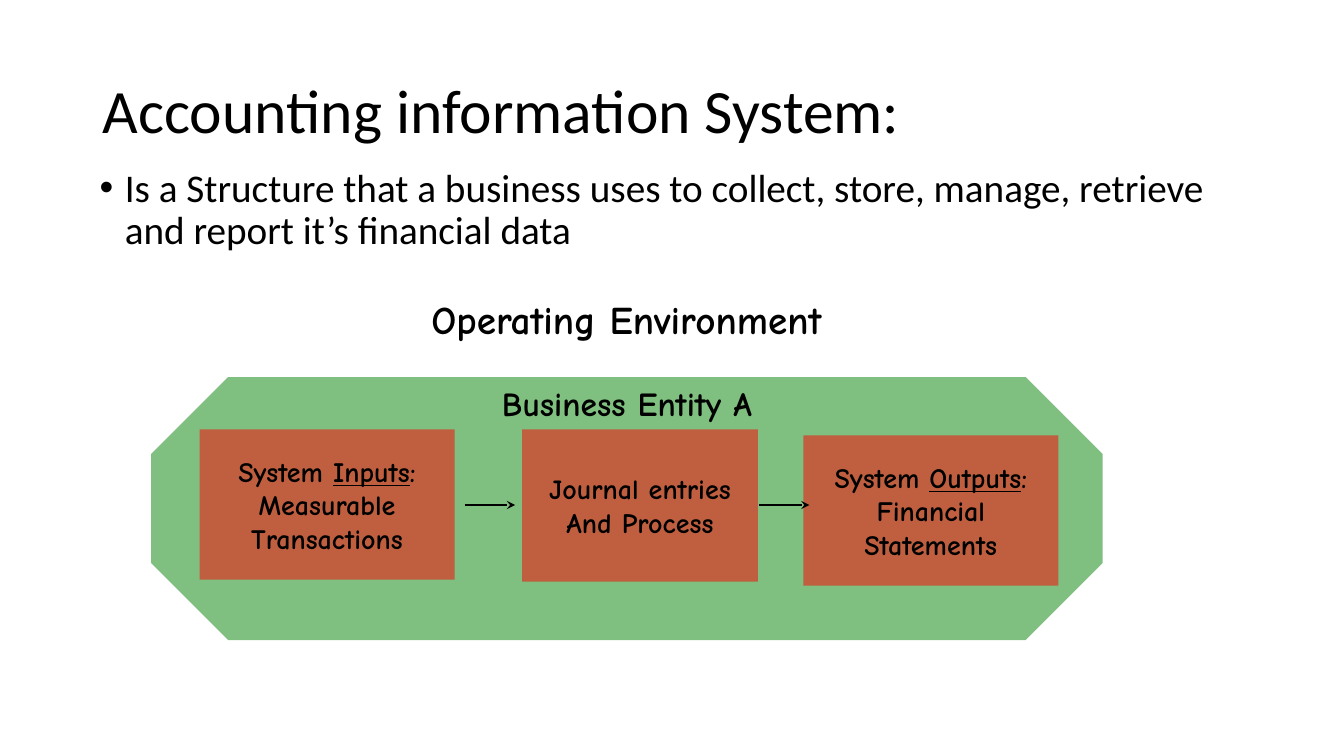
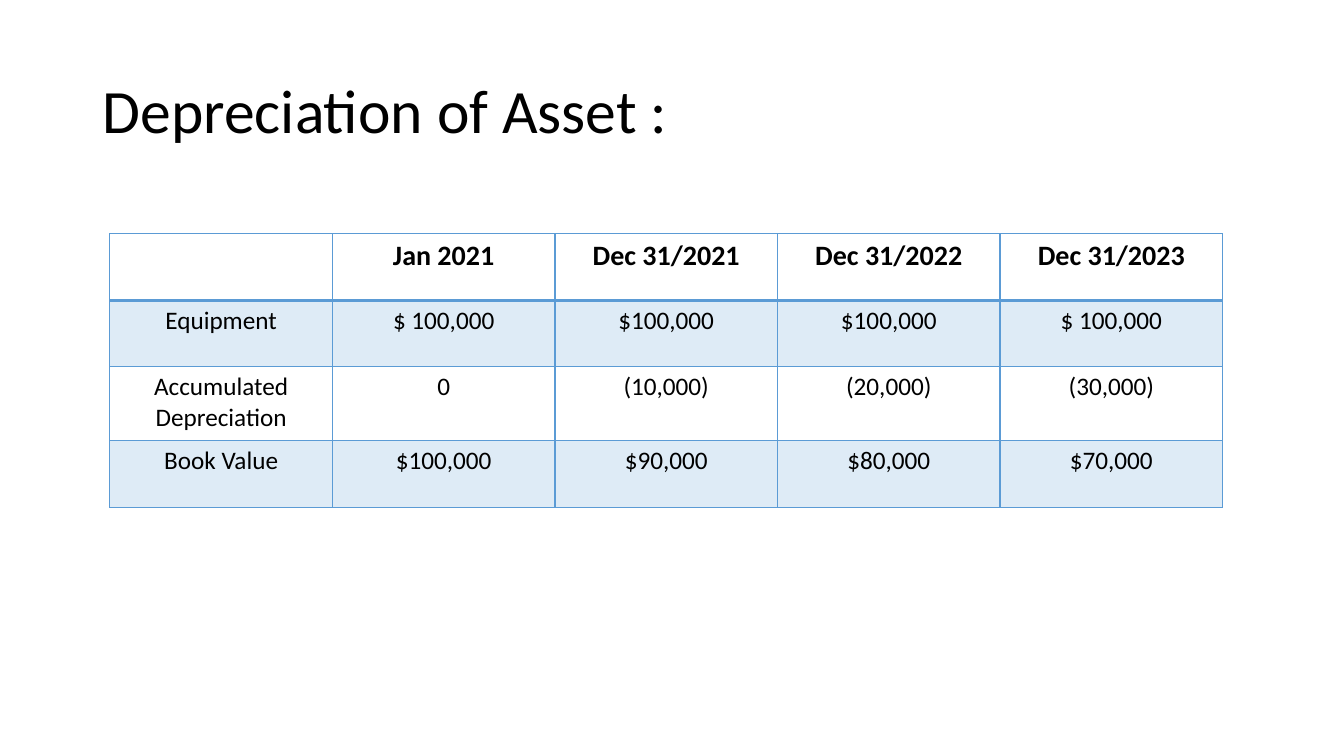
from lxml.etree import SubElement
from pptx import Presentation
from pptx.dml.color import RGBColor
from pptx.enum.shapes import MSO_CONNECTOR, MSO_SHAPE
from pptx.enum.text import MSO_ANCHOR, PP_ALIGN
from pptx.oxml.ns import qn
from pptx.util import Pt

HUES = {"text": "000000", "entity": "008000", "step": "FF0000", "grid": "5B9BD5"}
BODY, COMIC = "Calibri", "Comic Neue"


def hue(name):
    return RGBColor.from_string(HUES[name])


class Deck:
    def __init__(self):
        self.prs = Presentation()
        self.prs.slide_width, self.prs.slide_height = Pt(960), Pt(540)
        self.slide = None

    # Text
    def run(self, para, text, size, font=BODY, bold=False, under=False):
        run = para.add_run()
        run.text = text
        face = run.font
        face.name, face.size, face.bold = font, Pt(size), bold
        face.underline = under
        face.color.rgb = hue("text")

    def page(self, title):
        self.slide = self.prs.slides.add_slide(self.prs.slide_layouts[5])
        head = self.slide.shapes.title
        head.left, head.top = Pt(66.24), Pt(28.8)
        head.width, head.height = Pt(828), Pt(104.4)
        frame = head.text_frame
        frame.vertical_anchor = MSO_ANCHOR.MIDDLE
        para = frame.paragraphs[0]
        para.alignment, para.line_spacing = PP_ALIGN.LEFT, 0.9
        self.run(para, title, 44)

    def box(self, x, y, w, h):
        frame = self.slide.shapes.add_textbox(Pt(x), Pt(y), Pt(w), Pt(h)).text_frame
        frame.word_wrap = True
        return frame.paragraphs[0]

    def label(self, x, y, w, h, text, size):
        para = self.box(x, y, w, h)
        para.alignment = PP_ALIGN.CENTER
        self.run(para, text, size, COMIC, True)

    def bullet(self, x, y, w, h, text):
        para = self.box(x, y, w, h)
        para.line_spacing = 0.9
        props = para._p.get_or_add_pPr()
        props.set("marL", str(Pt(18)))
        props.set("indent", str(-Pt(18)))
        SubElement(props, qn("a:buFont"), typeface="Arial")
        SubElement(props, qn("a:buChar"), char="•")
        self.run(para, text, 28)

    # Shapes
    def tint(self, fill, props, name, alpha):
        fill.solid()
        fill.fore_color.rgb = hue(name)
        color = props.find(qn("a:solidFill"))[0]
        SubElement(color, qn("a:alpha"), val=str(alpha * 1000))

    def shape(self, kind, x, y, w, h, name):
        item = self.slide.shapes.add_shape(kind, Pt(x), Pt(y), Pt(w), Pt(h))
        item.shadow.inherit = False
        item.line.fill.background()
        self.tint(item.fill, item.element.spPr, name, 50)
        return item

    def step(self, x, y, w, h, lines):
        """Each line is a list of texts; the second text is underlined."""
        frame = self.shape(MSO_SHAPE.RECTANGLE, x, y, w, h, "step").text_frame
        frame.word_wrap = False
        frame.vertical_anchor = MSO_ANCHOR.MIDDLE
        for i, line in enumerate(lines):
            para = frame.add_paragraph() if i else frame.paragraphs[0]
            para.alignment = PP_ALIGN.CENTER
            for j, text in enumerate(line):
                self.run(para, text, 20, COMIC, True, j == 1)

    def arrow(self, x, y, w):
        link = self.slide.shapes.add_connector(
            MSO_CONNECTOR.STRAIGHT, Pt(x), Pt(y), Pt(x + w), Pt(y))
        link.line.width = Pt(1)
        link.line.color.rgb = hue("text")
        SubElement(link.line._get_or_add_ln(), qn("a:tailEnd"), type="stealth")
        SubElement(link.element.spPr, qn("a:effectLst"))

    # Table
    def edges(self, props, head):
        for side in "LRTB":
            width = 2 if head and side == "B" else 1
            line = SubElement(props, qn("a:ln" + side), w=str(Pt(width)))
            fill = SubElement(line, qn("a:solidFill"))
            SubElement(fill, qn("a:srgbClr"), val=HUES["grid"])

    def table(self, x, y, width, highs, rows):
        count = len(rows[0])
        grid = self.slide.shapes.add_table(
            len(rows), count, Pt(x), Pt(y), Pt(width * count), Pt(sum(highs))).table
        grid.first_row = grid.horz_banding = False
        for col in grid.columns:
            col.width = Pt(width)
        for r, row in enumerate(rows):
            grid.rows[r].height = Pt(highs[r])
            for c, text in enumerate(row):
                cell = grid.cell(r, c)
                props = cell._tc.get_or_add_tcPr()
                self.edges(props, r == 0)
                if r % 2:
                    self.tint(cell.fill, props, "grid", 20)
                else:
                    cell.fill.background()
                para = cell.text_frame.paragraphs[0]
                para.alignment = PP_ALIGN.CENTER
                if text:
                    self.run(para, text, 18 if r else 20, bold=r == 0)


deck = Deck()

# Slide 1: system diagram
deck.page("Accounting information System:")
deck.bullet(64.08, 116.64, 828, 72,
            "Is a Structure that a business uses to collect, store, manage, "
            "retrieve and report it’s financial data")
deck.label(273.6, 207.36, 347.76, 41.04, "Operating Environment", 28)
entity = deck.shape(MSO_SHAPE.OCTAGON, 108, 269.28, 679.68, 187.92, "entity")
entity.adjustments[0] = 0.293
deck.label(303.84, 270, 288, 36, "Business Entity A", 24)
deck.step(372.96, 306.72, 168.48, 108.72, [["Journal entries"], ["And Process"]])
deck.step(573.84, 311.04, 182.16, 107.28,
          [["System ", "Outputs", ":"], ["Financial"], ["Statements"]])
deck.step(142.56, 306.72, 182.16, 107.28,
          [["System ", "Inputs", ":"], ["Measurable"], ["Transactions"]])
for x in (331.92, 542.16):
    deck.arrow(x, 360.72, 36)

# Slide 2: depreciation table
deck.page("Depreciation of Asset :")
deck.table(78.48, 167.04, 158.98, [47.52, 47.52, 52.8, 47.52], [
    ["", "Jan 2021", "Dec 31/2021", "Dec 31/2022", "Dec 31/2023"],
    ["Equipment", "$ 100,000", "$100,000", "$100,000", "$ 100,000"],
    ["Accumulated Depreciation", "0", "(10,000)", "(20,000)", "(30,000)"],
    ["Book Value", "$100,000", "$90,000", "$80,000", "$70,000"],
])

deck.prs.save("out.pptx")
